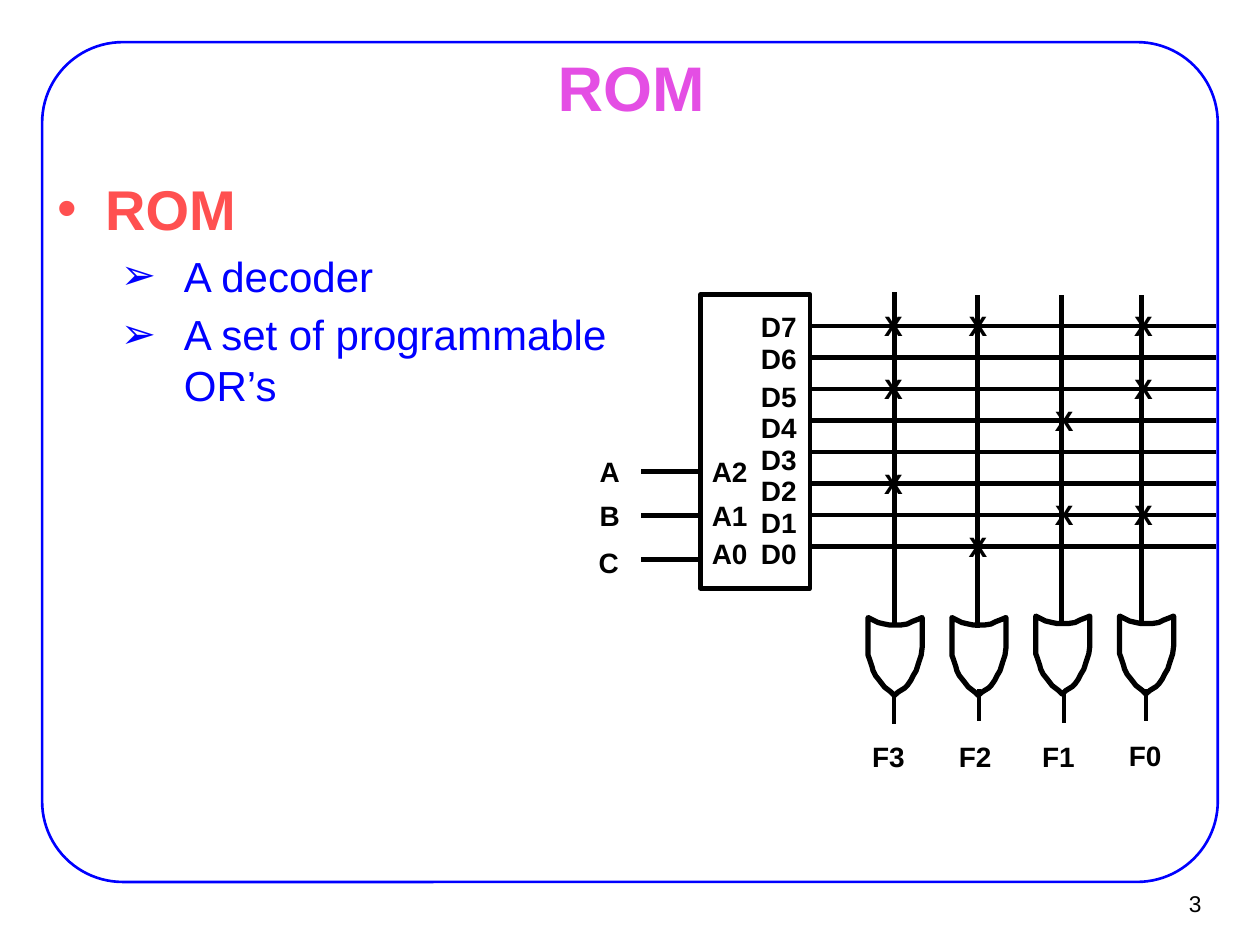
from dataclasses import dataclass

from lxml import etree
from pptx import Presentation
from pptx import util as u
from pptx.dml.color import RGBColor
from pptx.enum import shapes, text
from pptx.oxml.ns import qn


@dataclass(frozen=True)
class Theme:
    font: str = "Arial"
    ink: str = "000000"
    blue: str = "0000FF"
    title: str = "E44EE4"
    heading: str = "FF5050"
    title_size: float = 36
    heading_size: float = 32
    body_size: float = 24
    label_size: float = 16
    number_size: float = 13
    frame_line: float = 1.5
    output_line: float = 2.25
    wire_line: float = 2.63
    gate_line: float = 3


@dataclass(frozen=True)
class Label:
    wording: str
    left: float
    top: float
    width: float = 0.75


@dataclass(frozen=True)
class Column:
    name: str
    wire_x: float
    wire_top: float
    wire_bottom: float
    mark_x: float
    marked_words: tuple[int, ...]
    gate_top: float
    output_x: float
    output_top: float
    label_left: float
    label_top: float


@dataclass(frozen=True)
class Bullet:
    wording: str
    level: int
    symbol: str
    margin: float
    hanging: float
    size: float
    color: str
    bold: bool
    space_before: float


THEME = Theme()
WORD_BOTTOM, WORD_GAP = 11.02, 0.635
GATE_LEFT, GATE_GAP = 17.5, 1.69
INPUT_TOP, INPUT_GAP = 9.5, 0.89

COLUMNS = (
    Column("F3", 18.03, 5.89, 12.6, 18.06, (7, 5, 2), 12.45, 18.03, 13.94, 17.58, 14.91),
    Column("F2", 19.71, 5.94, 12.65, 19.76, (7, 0), 12.45, 19.74, 13.89, 19.33, 14.91),
    Column("F1", 21.4, 5.94, 12.57, 21.5, (4, 1), 12.42, 21.44, 13.92, 21.01, 14.91),
    Column("F0", 23.01, 5.94, 12.55, 23.1, (7, 5, 1), 12.42, 23.11, 13.89, 22.76, 14.88),
)
TERMINALS = (
    Label("A2", 14.35, 9.17), Label("A1", 14.35, 10.06), Label("A0", 14.35, 10.82),
    Label("A", 12.09, 9.17, 0.42), Label("B", 12.09, 10.05, 0.42), Label("C", 12.07, 11, 0.42),
)
BULLETS = (
    Bullet("ROM", 0, "•", 0.95, 0.95, THEME.heading_size, THEME.heading, True, 6.4),
    Bullet("A decoder", 1, "➢", 2.54, 1.27, THEME.body_size, THEME.blue, False, 4.8),
    Bullet("A set of programmable OR’s", 1, "➢", 2.54, 1.27, THEME.body_size, THEME.blue, False, 4.8),
)
GATE_OUTLINE = (
    (109, 0), (102, 3), (89, 8), (79, 13), (66, 15), (53, 15), (43, 15), (33, 13),
    (20, 10), (10, 5), (0, 0), (0, 46), (0, 76), (3, 84), (8, 99), (10, 107), (15, 117),
    (23, 127), (33, 140), (46, 150), (53, 157), (61, 150), (74, 142), (79, 137), (86, 127),
    (91, 117), (97, 107), (102, 91), (107, 76), (109, 61), (109, 51),
)


def style_paragraph(paragraph, size: float, color: str, bold: bool) -> None:
    paragraph.font.name = THEME.font
    paragraph.font.size = u.Pt(size)
    paragraph.font.bold = bold
    paragraph.font.color.rgb = RGBColor.from_string(color)


def set_insets(frame, horizontal: float, vertical: float) -> None:
    frame.margin_left = frame.margin_right = u.Cm(horizontal)
    frame.margin_top = frame.margin_bottom = u.Cm(vertical)


def add_text_box(slide, left: float, top: float, width: float, height: float,
                 insets: tuple[float, float], wrap: bool):
    box = slide.shapes.add_textbox(u.Cm(left), u.Cm(top), u.Cm(width), u.Cm(height))
    box.text_frame.word_wrap = wrap
    set_insets(box.text_frame, *insets)
    return box.text_frame


def add_label(slide, label: Label) -> None:
    frame = add_text_box(slide, label.left, label.top, label.width, 0.69, (0, 0), False)
    frame.auto_size = text.MSO_AUTO_SIZE.SHAPE_TO_FIT_TEXT
    frame.text = label.wording
    style_paragraph(frame.paragraphs[0], THEME.label_size, THEME.ink, True)


def add_mark(slide, center_x: float, center_y: float) -> None:
    frame = add_text_box(slide, center_x - 0.485, center_y - 0.48, 0.97, 0.94, (0.25, 0.13), True)
    frame.text = "X"
    style_paragraph(frame.paragraphs[0], THEME.label_size, THEME.ink, True)


def add_wire(slide, x1: float, y1: float, x2: float, y2: float, width: float) -> None:
    wire = slide.shapes.add_connector(
        shapes.MSO_CONNECTOR.STRAIGHT, u.Cm(x1), u.Cm(y1), u.Cm(x2), u.Cm(y2))
    wire.line.color.rgb = RGBColor.from_string(THEME.ink)
    wire.line.width = u.Pt(width)
    etree.SubElement(wire._element.spPr, qn("a:effectLst"))


def outline_shape(shape, color: str, width: float) -> None:
    shape.shadow.inherit = False
    shape.fill.background()
    shape.line.color.rgb = RGBColor.from_string(color)
    shape.line.width = u.Pt(width)


def add_box(slide, kind, left: float, top: float, width: float, height: float):
    return slide.shapes.add_shape(kind, u.Cm(left), u.Cm(top), u.Cm(width), u.Cm(height))


def add_gate(slide, left: float, top: float) -> None:
    builder = slide.shapes.build_freeform(*GATE_OUTLINE[0], scale=u.Cm(0.01))
    builder.add_line_segments(GATE_OUTLINE[1:], close=True)
    outline_shape(builder.convert_to_shape(u.Cm(left), u.Cm(top)), THEME.ink, THEME.gate_line)


def add_bullet(paragraph, bullet: Bullet) -> None:
    paragraph.text = bullet.wording
    paragraph.level = bullet.level
    paragraph.space_before = u.Pt(bullet.space_before)
    style_paragraph(paragraph, bullet.size, bullet.color, bullet.bold)
    properties = paragraph._p.get_or_add_pPr()
    properties.set("marL", str(u.Cm(bullet.margin)))
    properties.set("indent", str(-u.Cm(bullet.hanging)))
    symbol_font = etree.Element(qn("a:buFont"), typeface=THEME.font)
    properties.find(qn("a:spcBef")).addnext(symbol_font)
    symbol_font.addnext(etree.Element(qn("a:buChar"), char=bullet.symbol))


def add_title(slide) -> None:
    title = slide.shapes.title
    title.left, title.top, title.width, title.height = map(u.Cm, (1.93, 1.12, 21.59, 1.24))
    frame = title.text_frame
    frame.text = "ROM"
    frame.vertical_anchor = text.MSO_ANCHOR.MIDDLE
    frame.auto_size = text.MSO_AUTO_SIZE.NONE
    set_insets(frame, 0.28, 0.15)
    frame.paragraphs[0].alignment = text.PP_ALIGN.CENTER
    style_paragraph(frame.paragraphs[0], THEME.title_size, THEME.title, True)


def add_page_number(slide) -> None:
    frame = add_text_box(slide, 22.9, 17.75, 1.55, 0.94, (0.23, 0.1), False)
    frame.text = "3"
    frame.vertical_anchor = text.MSO_ANCHOR.MIDDLE
    frame.paragraphs[0].alignment = text.PP_ALIGN.RIGHT
    style_paragraph(frame.paragraphs[0], THEME.number_size, THEME.ink, False)


def word_y(word: int) -> float:
    return WORD_BOTTOM - word * WORD_GAP


def add_decoder(slide) -> None:
    decoder = add_box(slide, shapes.MSO_SHAPE.RECTANGLE, 14.12, 5.94, 2.21, 5.92)
    outline_shape(decoder, THEME.ink, THEME.wire_line)
    for row in range(3):
        y = INPUT_TOP + row * INPUT_GAP
        add_wire(slide, 12.93, y, 14.07, y, THEME.wire_line)
    for terminal in TERMINALS:
        add_label(slide, terminal)
    for word in range(8):
        raised = 0.13 if word > 5 else 0
        add_label(slide, Label(f"D{word}", 15.34, word_y(word) - 0.2 - raised))
        add_wire(slide, 16.33, word_y(word), 24.51, word_y(word), THEME.wire_line)


def add_column(slide, index: int, column: Column) -> None:
    add_wire(slide, column.wire_x, column.wire_bottom, column.wire_x, column.wire_top, THEME.wire_line)
    for word in column.marked_words:
        add_mark(slide, column.mark_x, word_y(word))
    add_gate(slide, GATE_LEFT + index * GATE_GAP, column.gate_top)
    add_wire(slide, column.output_x, column.output_top, column.output_x,
             column.output_top + 0.65, THEME.output_line)
    add_label(slide, Label(column.name, column.label_left, column.label_top, 0.67))


presentation = Presentation()
presentation.slide_width, presentation.slide_height = u.Cm(25.4), u.Cm(19.05)
slide = presentation.slides.add_slide(presentation.slide_layouts[5])
border = add_box(slide, shapes.MSO_SHAPE.ROUNDED_RECTANGLE, 0.85, 0.85, 23.7, 16.93)
border.adjustments[0] = 0.096
outline_shape(border, THEME.blue, THEME.frame_line)
add_page_number(slide)
add_title(slide)
add_decoder(slide)
for index, column in enumerate(COLUMNS):
    add_column(slide, index, column)
body = add_text_box(slide, 0.89, 3.37, 12.19, 6.73, (0.28, 0.15), True)
for index, bullet in enumerate(BULLETS):
    add_bullet(body.add_paragraph() if index else body.paragraphs[0], bullet)
presentation.save("out.pptx")
